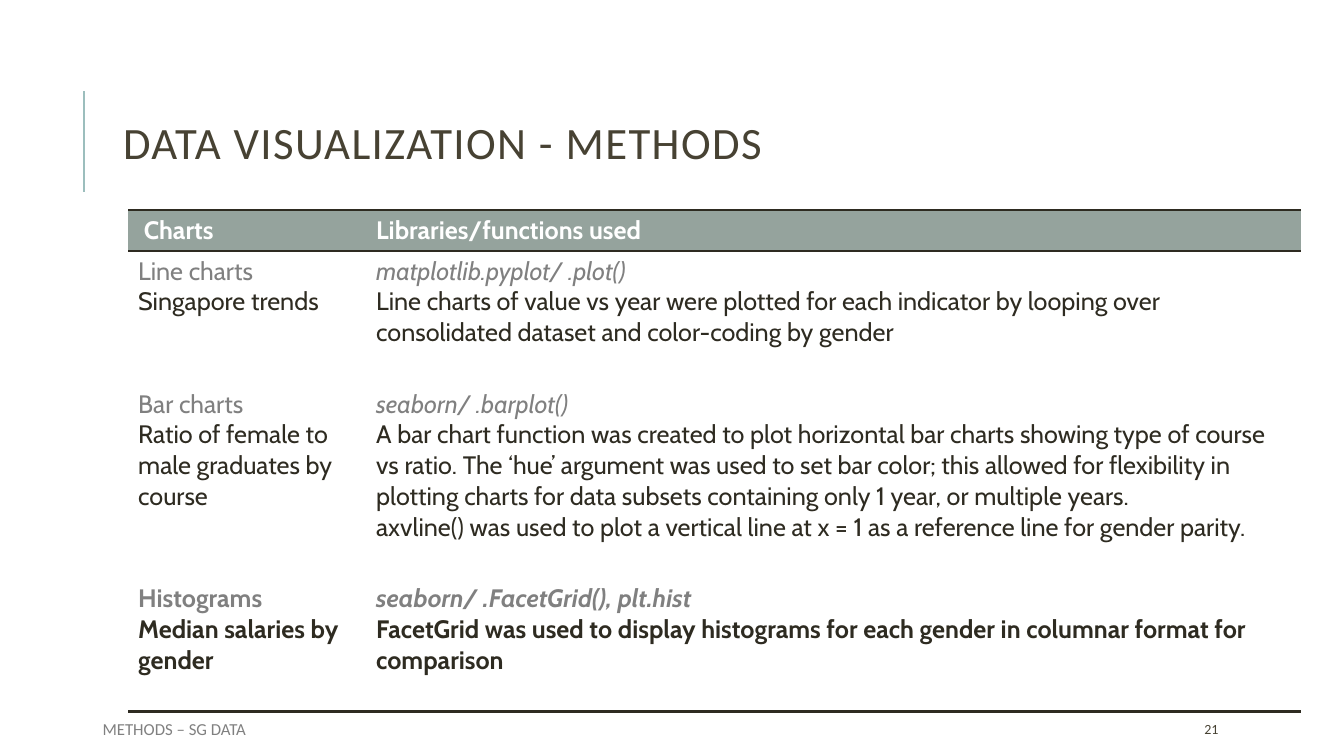
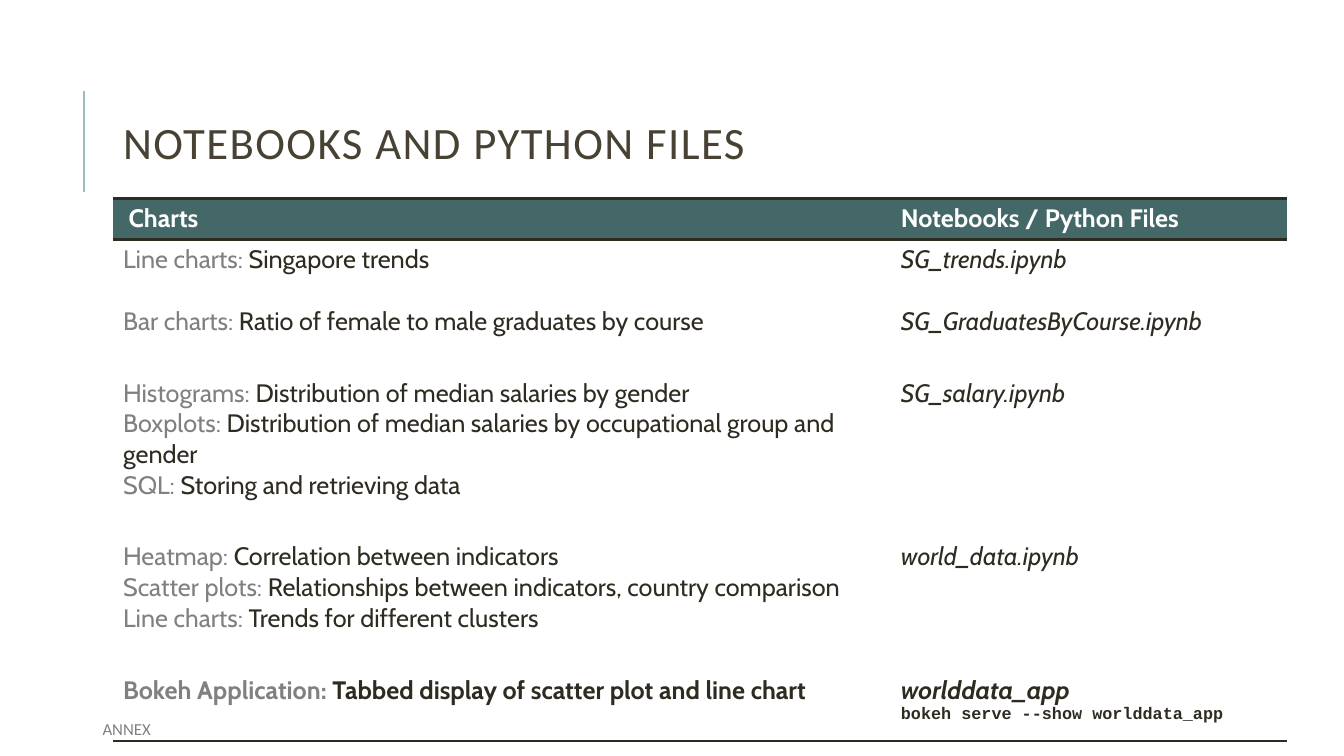
"""Build two table slides: visualization methods and notebook files."""
from lxml.etree import SubElement
from pptx import Presentation
from pptx.dml.color import RGBColor
from pptx.enum.shapes import MSO_CONNECTOR as Connector
from pptx.enum.text import MSO_ANCHOR as Anchor, MSO_AUTO_SIZE as AutoSize, PP_ALIGN as Align
from pptx.oxml.ns import qn
from pptx.util import Pt

rgb = RGBColor.from_string
INK, GRAY, BROWN, WHITE, ACCENT = "2E2B21", "808080", "474233", "FFFFFF", "9CBEBD"
NO_GRID = "{2D5ABB26-0587-4C30-8999-92F81FD0307C}"
LABEL = dict(color=GRAY)
PLAIN = dict(color=INK)
FILE = dict(color=INK, italic=True)
CALL = dict(color=GRAY, italic=True)
COMMAND = dict(color=INK, size=12, font="Courier New")
HEADER_HEIGHT = 29.3


def write(para, text, size=18, font="Cabin", color=INK, bold=False, italic=False):
    span = para.add_run()
    span.text = text
    span.font.size, span.font.name = Pt(size), font
    span.font.bold, span.font.italic = bold, italic
    span.font.color.rgb = rgb(color)
    return span


def add_borders(cell_element, sides):
    properties = cell_element.get_or_add_tcPr()
    for side in sides:
        line = SubElement(properties, qn(f"a:ln{side}"), w=str(Pt(2)))
        fill = SubElement(line, qn("a:solidFill"))
        SubElement(fill, qn("a:srgbClr"), val=INK)


methods = [
    (95, [[("Line charts", LABEL)], [("Singapore trends", PLAIN)]],
     [[("matplotlib.pyplot/ .plot()", CALL)],
      [("Line charts of value vs year were plotted for each indicator by looping over "
        "consolidated dataset and color-coding by gender", PLAIN)]]),
    (139, [[("Bar charts", LABEL)], [("Ratio of female to male graduates by course", PLAIN)]],
     [[("seaborn/ .barplot()", CALL)],
      [("A bar chart function was created to plot horizontal bar charts showing type of course "
        "vs ratio. The ‘hue’ argument was used to set bar color; this allowed for flexibility in "
        "plotting charts for data subsets containing only 1 year, or multiple years.", PLAIN)],
      [("axvline() was used to plot a vertical line at x = 1 as a reference line for "
        "gender parity.", PLAIN)]]),
    (95, [[("Histograms", LABEL)], [("Median salaries by gender", PLAIN)]],
     [[("seaborn/ .FacetGrid(), plt.hist", CALL)],
      [("FacetGrid was used to display histograms for each gender in columnar format for "
        "comparison", PLAIN)]]),
]
notebooks = [
    (44.2, [[("Line charts: ", LABEL), ("Singapore trends", PLAIN)]],
     [[("SG_trends.ipynb", FILE)]]),
    (51, [[("Bar charts: ", LABEL), ("Ratio of female to male graduates by course", PLAIN)]],
     [[("SG_GraduatesByCourse.ipynb", FILE)]]),
    (117, [[("Histograms: ", LABEL), ("Distribution of median salaries by gender", PLAIN)],
           [("Boxplots: ", LABEL),
            ("Distribution of median salaries by occupational group and gender", PLAIN)],
           [("SQL: ", LABEL), ("Storing and retrieving data", PLAIN)]],
     [[("SG_salary.ipynb", FILE)]]),
    (95.5, [[("Heatmap: ", LABEL), ("Correlation between indicators", PLAIN)],
            [("Scatter plots: ", LABEL),
             ("Relationships between indicators, country comparison", PLAIN)],
            [("Line charts: ", LABEL), ("Trends for different clusters", PLAIN)]],
     [[("world_data.ipynb", FILE)]]),
    (50.5, [[("Bokeh Application: ", LABEL),
             ("Tabbed display of scatter plot and line chart", PLAIN)]],
     [[("worlddata_app", FILE)], [("bokeh serve --show worlddata_app", COMMAND)]]),
]
pages = [
    dict(title="DATA VISUALIZATION - METHODS", footer="METHODS – SG DATA", number="21",
         left=91.5, top=149.8, widths=(170, 668), band="95A39D",
         heads=("Charts", "Libraries/functions used"), rows=methods),
    dict(title="NOTEBOOKS AND PYTHON FILES", footer="ANNEX", number=None,
         left=80.7, top=141.8, widths=(555.6, 283), band="446867",
         heads=("Charts", "Notebooks / Python Files"), rows=notebooks),
]

deck = Presentation()
deck.slide_width, deck.slide_height = Pt(960), Pt(540)

for content in pages:
    page = deck.slides.add_slide(deck.slide_layouts[5])

    rule = page.shapes.add_connector(Connector.STRAIGHT, Pt(60), Pt(137), Pt(60), Pt(65))
    rule.line.color.rgb, rule.line.width = rgb(ACCENT), Pt(1.5)
    SubElement(rule.element.spPr, qn("a:effectLst"))

    title = page.shapes.title
    title.left, title.top, title.width, title.height = Pt(80.7), Pt(46), Pt(797), Pt(118)
    frame = title.text_frame
    frame.vertical_anchor, frame.auto_size, frame.word_wrap = Anchor.MIDDLE, AutoSize.NONE, True
    para = frame.paragraphs[0]
    para.alignment, para.line_spacing = Align.LEFT, 0.8
    span = write(para, content["title"], size=32, font="Calibri", color=BROWN)
    span.font._element.set("spc", "100")

    rows = [(HEADER_HEIGHT, *([[(head, dict(color=WHITE, bold=True))]]
                              for head in content["heads"]))] + content["rows"]
    heights = [row[0] for row in rows]
    widths = content["widths"]
    holder = page.shapes.add_table(len(rows), len(widths), Pt(content["left"]),
                                   Pt(content["top"]), Pt(sum(widths)), Pt(sum(heights)))
    holder.element.find(f".//{qn('a:tableStyleId')}").text = NO_GRID
    table = holder.table
    table.horz_banding = False
    for column, width in zip(table.columns, widths):
        column.width = Pt(width)

    last = len(rows) - 1
    for index, (height, *cells) in enumerate(rows):
        table.rows[index].height = Pt(height)
        for position, paragraphs in enumerate(cells):
            cell = table.cell(index, position)
            add_borders(cell._tc, "TB" if index == 0 else "B" if index == last else "")
            cell.fill.solid()
            cell.fill.fore_color.rgb = rgb(WHITE if index else content["band"])
            for order, spans in enumerate(paragraphs):
                frame = cell.text_frame
                para = frame.add_paragraph() if order else frame.paragraphs[0]
                for text, style in spans:
                    write(para, text, **{"bold": index == last, **style})
    table.cell(0, 0).margin_left = Pt(11.2)

    marks = [(content["footer"], 66.2, 204.5, 12, GRAY, Anchor.TOP)]
    if content["number"]:
        marks.append((content["number"], 853.2, 76.3, 10, BROWN, Anchor.MIDDLE))
    for text, left, width, size, color, anchor in marks:
        box = page.shapes.add_textbox(Pt(left), Pt(509.8), Pt(width), Pt(21.8))
        box.text_frame.word_wrap, box.text_frame.vertical_anchor = True, anchor
        write(box.text_frame.paragraphs[0], text, size=size, font="Calibri", color=color)

deck.save("out.pptx")
